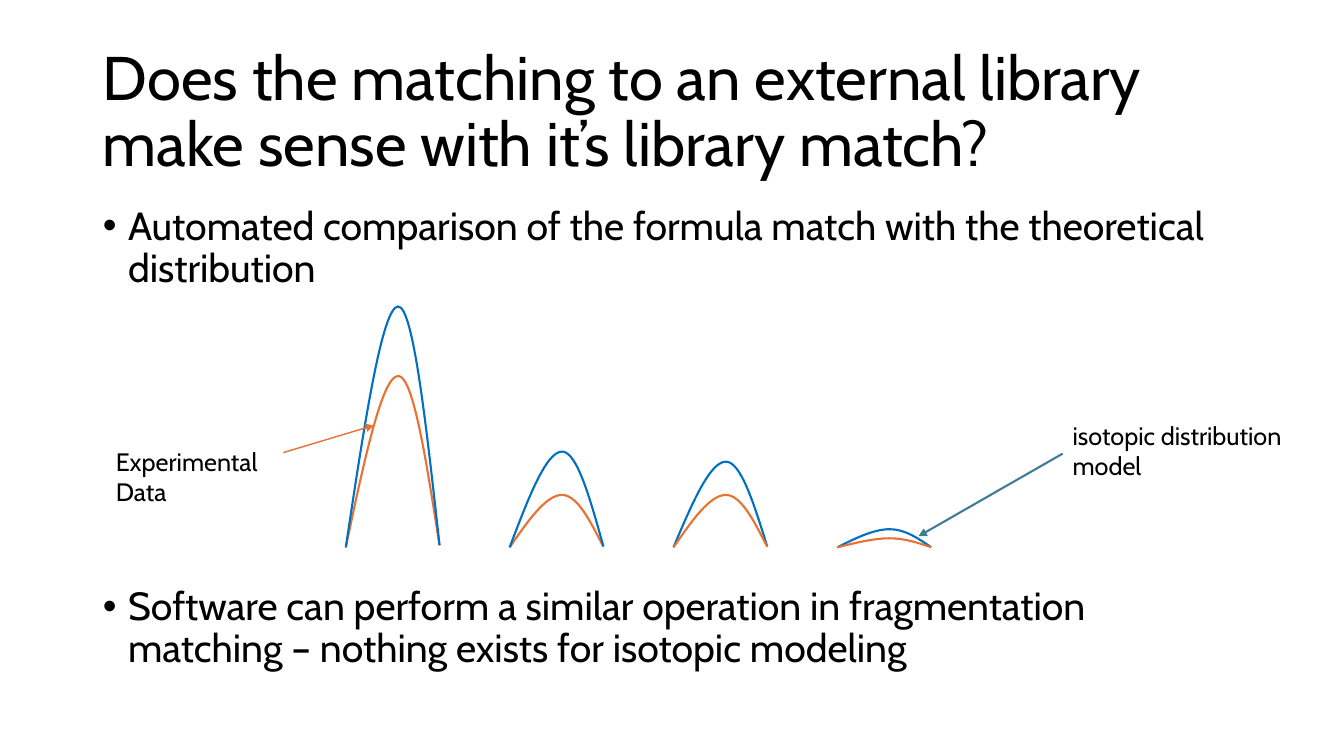
from lxml import etree
from pptx import Presentation
from pptx.dml.color import RGBColor
from pptx.enum.shapes import MSO_CONNECTOR
from pptx.enum.text import MSO_ANCHOR, MSO_AUTO_SIZE, PP_ALIGN
from pptx.oxml.ns import qn
from pptx.util import Inches, Pt

STRAIGHT = MSO_CONNECTOR.STRAIGHT
LEFT, MIDDLE, TOP = PP_ALIGN.LEFT, MSO_ANCHOR.MIDDLE, MSO_ANCHOR.TOP
NO_FIT = MSO_AUTO_SIZE.NONE

BLACK = RGBColor(0, 0, 0)
ORANGE = RGBColor(0xE9, 0x71, 0x32)
BLUE = RGBColor(0x00, 0x70, 0xC0)
TEAL = RGBColor(0x3E, 0x7C, 0x98)

FONT = "Cabin"
BASE = 5.43
FIRST = 3.43
STEP = 1.625
PEAKS = (
    (0, 1.7, ORANGE), (1, 0.52, ORANGE), (2, 0.85, BLUE), (3, 0.18, BLUE),
    (0, 2.39, BLUE), (1, 0.95, BLUE), (2, 0.52, ORANGE), (3, 0.09, ORANGE),
)


def place(shape, left, top, width, height):
    shape.left, shape.top = Inches(left), Inches(top)
    shape.width, shape.height = Inches(width), Inches(height)


def style(par, size):
    par.alignment = LEFT
    par.font.name = FONT
    par.font.size = Pt(size)
    par.font.color.rgb = BLACK


def add_title(slide, text):
    title = slide.shapes.title
    place(title, 0.92, 0.4, 11.5, 1.45)
    frame = title.text_frame
    frame.text = text
    frame.auto_size = NO_FIT
    frame.vertical_anchor = MIDDLE
    par = frame.paragraphs[0]
    par.line_spacing = 0.9
    style(par, 44)


def add_list(slide, items):
    body = slide.placeholders[1]
    place(body, 0.92, 2, 11.5, 4.76)
    frame = body.text_frame
    frame.text = "\n".join(text for text, _ in items)
    frame.auto_size = NO_FIT
    frame.vertical_anchor = TOP
    for par, (_, gap) in zip(frame.paragraphs, items):
        par.line_spacing = 0.9
        par.space_before = Pt(gap)
        props = par._p.get_or_add_pPr()
        props.set("marL", str(Inches(0.25)))
        props.set("indent", str(Inches(-0.25)))
        face = etree.SubElement(props, qn("a:buFont"))
        face.set("typeface", "Arial")
        etree.SubElement(props, qn("a:buChar")).set("char", "•")
        style(par, 28)


def add_label(slide, text, left, top, width, height):
    box = slide.shapes.add_textbox(
        Inches(left), Inches(top), Inches(width), Inches(height))
    frame = box.text_frame
    frame.word_wrap = True
    frame.text = text
    style(frame.paragraphs[0], 18)


def bend(shape):
    path = next(shape._element.iter(qn("a:path")))
    lines = path.findall(qn("a:lnTo"))
    for i in range(0, len(lines), 3):
        curve = etree.SubElement(path, qn("a:cubicBezTo"))
        for line in lines[i:i + 3]:
            curve.append(line[0])
            path.remove(line)


def add_peak(slide, left, height, color):
    top, mid = BASE - height, BASE - height / 2
    knots = ((0.18, mid), (0.36, top), (0.52, top),
             (0.67, top), (0.8, mid), (0.93, BASE - height / 100))
    outline = slide.shapes.build_freeform(Inches(left), Inches(BASE))
    outline.add_line_segments(
        [(Inches(left + x), Inches(y)) for x, y in knots], close=False)
    peak = outline.convert_to_shape()
    bend(peak)
    peak.shadow.inherit = False
    peak.fill.background()
    peak.line.color.rgb = color
    peak.line.width = Pt(1.5)


def add_arrow(slide, start, end, color, width):
    arrow = slide.shapes.add_connector(
        STRAIGHT, *(Inches(v) for v in start + end))
    arrow.line.color.rgb = color
    arrow.line.width = Pt(width)
    line = arrow.line._get_or_add_ln()
    etree.SubElement(line, qn("a:tailEnd")).set("type", "triangle")
    etree.SubElement(arrow._element.spPr, qn("a:effectLst"))


def main():
    deck = Presentation()
    deck.slide_width, deck.slide_height = Inches(13.33), Inches(7.5)
    slide = deck.slides.add_slide(deck.slide_layouts[1])
    add_title(slide, "Does the matching to an external library make sense "
                     "with it’s library match?")
    add_list(slide, [
        ("Automated comparison of the formula match with the theoretical "
         "distribution", 0),
        ("Software can perform a similar operation in fragmentation "
         "matching – nothing exists for isotopic modeling", 211),
    ])
    for spot, height, color in PEAKS:
        add_peak(slide, FIRST + spot * STEP, height, color)
    add_arrow(slide, (10.54, 4.5), (9.11, 5.32), TEAL, 1.5)
    add_label(slide, "isotopic distribution model", 10.54, 4.12, 2.38, 0.71)
    add_arrow(slide, (2.81, 4.49), (3.71, 4.22), ORANGE, 1)
    add_label(slide, "Experimental Data", 1.05, 4.38, 2.05, 0.71)
    deck.save("out.pptx")


if __name__ == "__main__":
    main()
